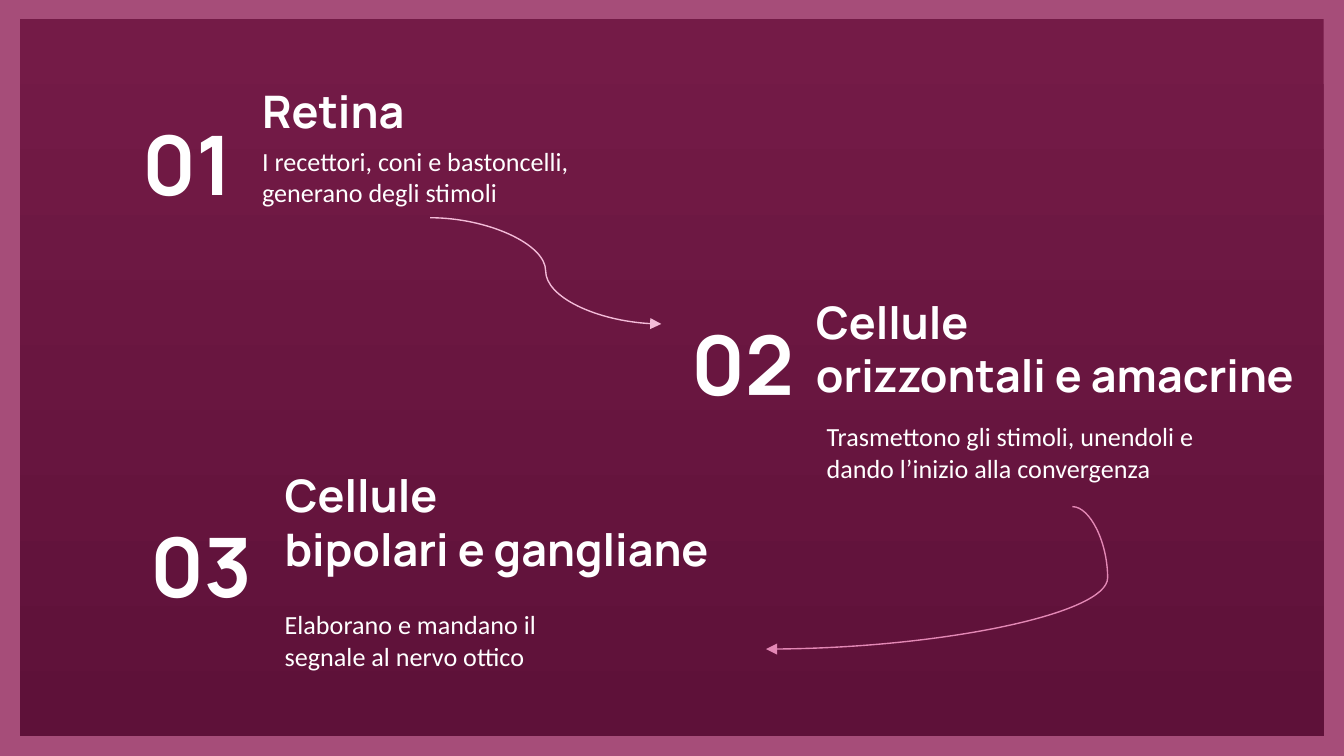
from dataclasses import dataclass
from pptx import Presentation
from pptx.dml.color import RGBColor
from pptx.enum.shapes import MSO_CONNECTOR, MSO_SHAPE
from pptx.enum.text import MSO_ANCHOR, MSO_AUTO_SIZE, PP_ALIGN
from pptx.oxml.ns import qn
from pptx.util import Inches, Pt
from lxml.etree import SubElement


@dataclass(frozen=True)
class Theme:
    frame: str = "A64D79"
    top: str = "741B47"
    base: str = "5E1139"
    text: str = "FFFFFF"
    pale: str = "F3BBD8"
    pink: str = "E388B5"
    display: str = "Manrope"
    copy: str = "Calibri"
    number: int = 44
    head: int = 24
    body: int = 14
    line: float = 0.75


THEME = Theme()
STEPS = [
    ("01", (0.87, 0.78),
     ["Retina"], (1.85, 0.64, 2.34, 0.48),
     "I recettori, coni e bastoncelli, generano degli stimoli", (1.85, 0.98, 2.95, 0.55)),
    ("02", (5, 2.27),
     ["Cellule", "orizzontali e amacrine"], (5.97, 2.54, 4.17, 0.55),
     "Trasmettono gli stimoli, unendoli e dando l’inizio alla convergenza",
     (6.05, 3.03, 3.24, 0.55)),
    ("03", (0.97, 3.77),
     ["Cellule", "bipolari e gangliane"], (2.02, 3.9, 3.76, 0.48),
     "Elaborano e mandano il segnale al nervo ottico", (2.02, 4.43, 2.34, 0.55)),
]


def color(code):
    return RGBColor.from_string(code)


def add_panel(slide):
    panel = slide.shapes.add_shape(
        MSO_SHAPE.RECTANGLE, *map(Inches, (0.15, 0.14, 9.7, 5.34)))
    panel.shadow.inherit = False
    panel.line.fill.background()
    panel.fill.gradient()
    panel.fill.gradient_angle = 270
    for stop, code, place in zip(panel.fill.gradient_stops, (THEME.top, THEME.base), (0, 1)):
        stop.color.rgb = color(code)
        stop.position = place
    slide.shapes.element.insert(2, panel.element)


def add_text(slide, holder, rect, lines, face, size, bold=False,
             anchor=MSO_ANCHOR.TOP, align=PP_ALIGN.LEFT):
    box = holder or slide.shapes.add_textbox(0, 0, 0, 0)
    box.left, box.top, box.width, box.height = map(Inches, rect)
    frame = box.text_frame
    frame.word_wrap = True
    frame.auto_size = MSO_AUTO_SIZE.NONE
    frame.vertical_anchor = anchor
    frame.margin_left = frame.margin_right = Inches(0.1)
    frame.margin_top = frame.margin_bottom = Inches(0.1)
    for i, line in enumerate(lines):
        para = frame.add_paragraph() if i else frame.paragraphs[0]
        props = para._p.get_or_add_pPr()
        props.set("marL", "0")
        props.set("indent", "0")
        SubElement(props, qn("a:buNone"))
        para.alignment = align
        para.space_before = Pt(0)
        para.line_spacing = 1.0
        run = para.add_run()
        run.text = line
        run.font.name = face
        run.font.size = Pt(size)
        run.font.bold = bold
        run.font.color.rgb = color(THEME.text)


def add_step(slide, step, holders):
    number, spot, head, head_at, body, body_at = step
    title, upper, lower = holders
    add_text(slide, title, (*spot, 1.05, 0.86), [number], THEME.display, THEME.number,
             True, MSO_ANCHOR.MIDDLE, PP_ALIGN.CENTER)
    add_text(slide, lower, body_at, [body], THEME.copy, THEME.body)
    add_text(slide, upper, head_at, head, THEME.display, THEME.head,
             True, MSO_ANCHOR.BOTTOM)


def add_arrow(slide, start, end, code, bend=50000):
    arrow = slide.shapes.add_connector(
        MSO_CONNECTOR.CURVE, *map(Inches, (*start, *end)))
    arrow.line.color.rgb = color(code)
    arrow.line.width = Pt(THEME.line)
    SubElement(arrow.line._get_or_add_ln(), qn("a:tailEnd"), type="triangle")
    props = arrow.element.spPr
    SubElement(props, qn("a:effectLst"))
    guides = props.find(qn("a:prstGeom")).get_or_add_avLst()
    SubElement(guides, qn("a:gd"), name="adj1", fmla=f"val {bend}")


def main():
    deck = Presentation()
    deck.slide_width = Inches(10)
    deck.slide_height = deck.slide_width * 9 // 16
    slide = deck.slides.add_slide(deck.slide_layouts[4])
    slide.background.fill.solid()
    slide.background.fill.fore_color.rgb = color(THEME.frame)
    title, *bodies = slide.placeholders
    add_panel(slide)
    groups = [(title, *bodies[:2]), (None, *bodies[2:]), (None, None, None)]
    for step, holders in zip(STEPS, groups):
        add_step(slide, step, holders)
    add_arrow(slide, (3.2, 1.62), (4.92, 2.41), THEME.pale)
    add_arrow(slide, (7.98, 3.77), (5.7, 4.83), THEME.pink, -11500)
    deck.save("out.pptx")


if __name__ == "__main__":
    main()
